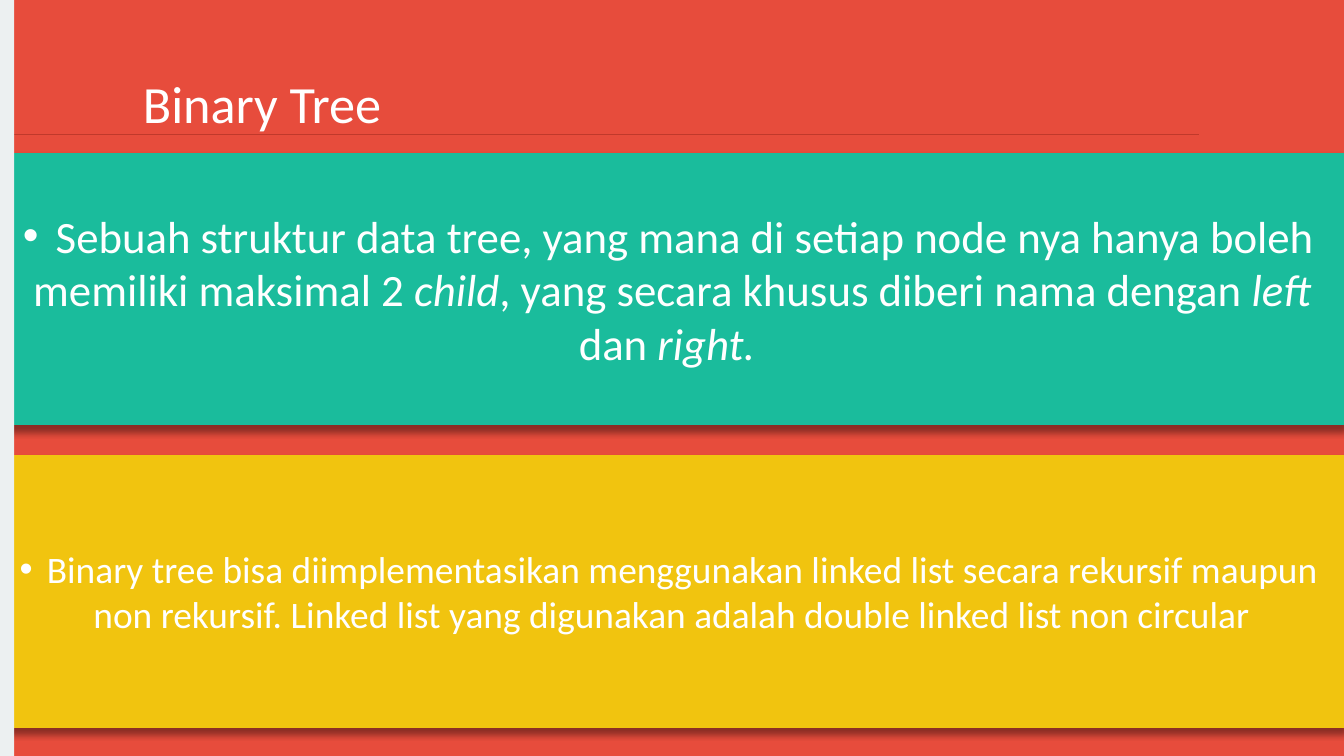
"""Build the Binary Tree slide: a title with a rule and two text bands."""
from pptx import Presentation
from pptx.dml.color import RGBColor
from pptx.enum.shapes import MSO_CONNECTOR, MSO_SHAPE
from pptx.enum.text import MSO_ANCHOR, MSO_AUTO_SIZE, PP_ALIGN
from pptx.oxml import parse_xml
from pptx.oxml.ns import nsdecls
from pptx.util import Pt

SCALE = 4572
WIDTH, HEIGHT = 2000, 1125
RED, DARK_RED = "E74C3C", "C0392B"
TEAL, YELLOW = "1ABC9C", "F1C40F"
PALE, WHITE, BLACK = "ECF0F1", "FFFFFF", "000000"


def px(*lengths):
    return [n * SCALE for n in lengths]


def rgb(value):
    return RGBColor.from_string(value)


def add_run(p, text, size=20, font="Calibri", color=WHITE, italic=False):
    r = p.add_run()
    r.text = text
    r.font.size = Pt(size)
    r.font.name = font
    r.font.color.rgb = rgb(color)
    r.font.italic = italic


def add_bullet(p, hang, color=WHITE):
    pPr = p._p.get_or_add_pPr()
    pPr.set("marL", "0")
    pPr.set("indent", str(-hang * SCALE))
    for xml in (
        f'<a:buClr {nsdecls("a")}><a:srgbClr val="{color}"/></a:buClr>',
        f'<a:buFont {nsdecls("a")} typeface="Arial"/>',
        f'<a:buChar {nsdecls("a")} char="•"/>',
    ):
        pPr.append(parse_xml(xml))


def add_effects(s, content=""):
    s._element.spPr.append(
        parse_xml(f'<a:effectLst {nsdecls("a")}>{content}</a:effectLst>'))


def add_drop_shadow(s, blur=4, dist=3, alpha=40):
    add_effects(s, (
        f'<a:outerShdw blurRad="{Pt(blur)}" dist="{Pt(dist)}" dir="5400000" '
        f'rotWithShape="0"><a:srgbClr val="{BLACK}">'
        f'<a:alpha val="{alpha * 1000}"/></a:srgbClr></a:outerShdw>'))


class Deck:
    def __init__(self):
        self.prs = Presentation()
        self.prs.slide_width, self.prs.slide_height = px(WIDTH, HEIGHT)
        self.s = self.prs.slides.add_slide(self.prs.slide_layouts[6])
        self.s.background.fill.solid()
        self.s.background.fill.fore_color.rgb = rgb(RED)

    def rect(self, x, y, w, h, color):
        sp = self.s.shapes.add_shape(MSO_SHAPE.RECTANGLE, *px(x, y, w, h))
        sp.fill.solid()
        sp.fill.fore_color.rgb = rgb(color)
        sp.line.fill.background()
        return sp

    def band(self, y, color, runs, size, hang):
        sp = self.rect(0, y, WIDTH, 400, color)
        sp.line.color.rgb = rgb(color)
        sp.line.width = Pt(2)
        add_drop_shadow(sp)
        tf = sp.text_frame
        tf.word_wrap = True
        tf.vertical_anchor = MSO_ANCHOR.MIDDLE
        p = tf.paragraphs[0]
        p.alignment = PP_ALIGN.CENTER
        add_bullet(p, hang)
        for text, italic in runs:
            add_run(p, text, size=size, italic=italic)

    def rule(self, x1, y1, x2, y2, color):
        line = self.s.shapes.add_connector(
            MSO_CONNECTOR.STRAIGHT, *px(x1, y1, x2, y2))
        line.line.color.rgb = rgb(color)
        line.line.width = Pt(0.75)
        add_effects(line)

    def title(self, x, y, w, h, text):
        tf = self.s.shapes.add_textbox(*px(x, y, w, h)).text_frame
        tf.word_wrap = True
        tf.auto_size = MSO_AUTO_SIZE.SHAPE_TO_FIT_TEXT
        p = tf.paragraphs[0]
        p.alignment = PP_ALIGN.CENTER
        add_run(p, text, size=28)

    def strip(self, w, color):
        self.rect(0, 0, w, HEIGHT, color).shadow.inherit = False


def main():
    deck = Deck()
    deck.band(680, YELLOW, [
        (" Binary tree bisa diimplementasikan menggunakan linked list secara "
         "rekursif maupun non rekursif. Linked list yang digunakan adalah "
         "double linked list non circular", False),
    ], size=20, hang=28)
    deck.band(230, TEAL, [
        (" Sebuah struktur data tree, yang mana di setiap node nya hanya boleh "
         "memiliki maksimal 2 ", False),
        ("child", True),
        (", yang secara khusus diberi nama dengan ", False),
        ("left ", True),
        ("dan ", False),
        ("right. ", True),
    ], size=24, hang=34)
    deck.rule(0, 200, 1784, 200, DARK_RED)
    deck.title(66, 96, 648, 114, "Binary Tree")
    deck.strip(21, PALE)
    deck.prs.save("out.pptx")


if __name__ == "__main__":
    main()
